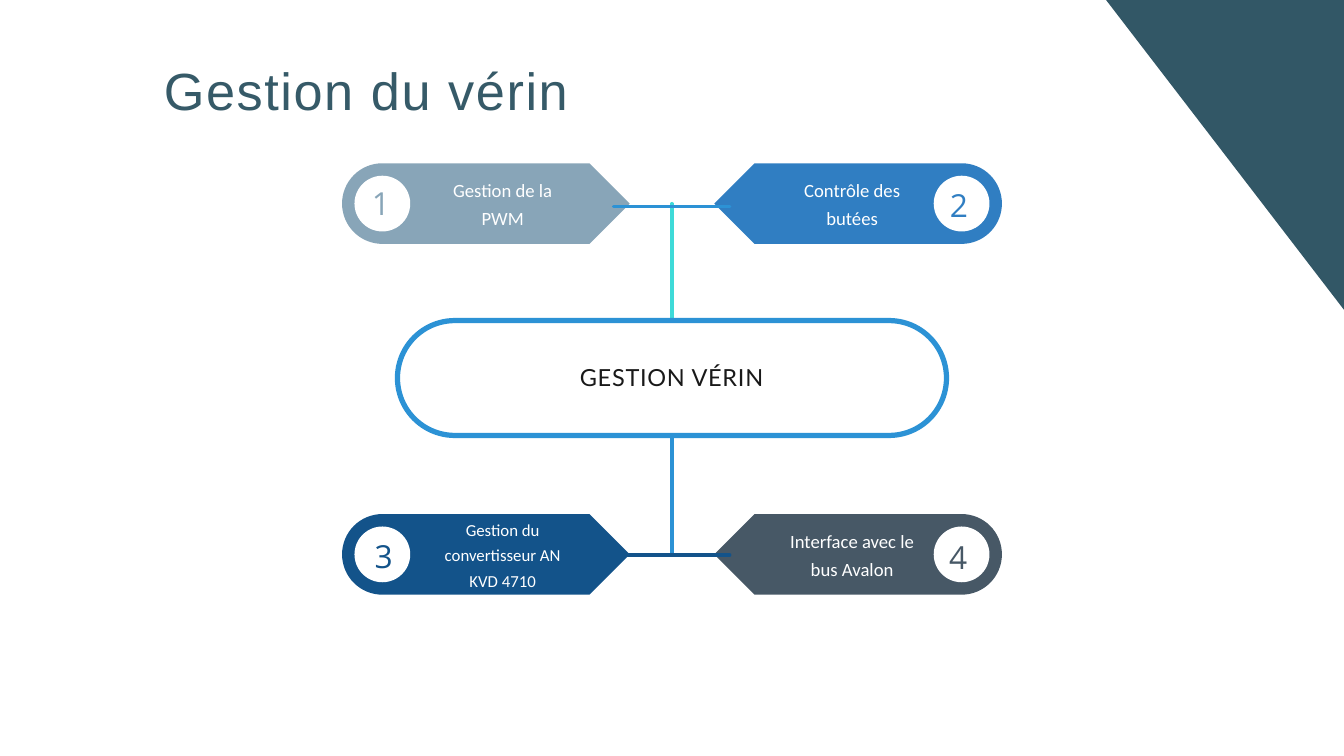
from dataclasses import dataclass
from math import cos, pi, sin

from lxml import etree
from pptx import Presentation, util as u
from pptx.dml.color import RGBColor
from pptx.enum import shapes, text
from pptx.oxml.ns import qn

COLS, ROWS = 20, 11.25
CELL = u.Inches(1)
MID = COLS / 2

WHITE = RGBColor(0xFF, 0xFF, 0xFF)
INK = RGBColor(0x19, 0x19, 0x19)
TEAL = RGBColor(0x32, 0x57, 0x66)
SLATE = RGBColor(0x36, 0x5A, 0x68)
AQUA = RGBColor(0x3E, 0xDA, 0xD8)
SKY = RGBColor(0x2C, 0x92, 0xD5)
MIST = RGBColor(0x88, 0xA5, 0xB8)
BLUE = RGBColor(0x30, 0x7E, 0xC2)
NAVY = RGBColor(0x13, 0x53, 0x8A)
STONE = RGBColor(0x47, 0x58, 0x66)


@dataclass(frozen=True)
class Font:
    name: str
    size: float
    lead: float
    color: RGBColor
    track: float = 0


@dataclass(frozen=True)
class Badge:
    digit: str
    label: str
    right: bool
    row: float
    color: RGBColor
    size: float
    text_row: float
    digit_col: float
    digit_row: float


BADGES = [
    Badge("1", "Gestion de la PWM", False, 3.03, MIST, 20, 2.58, 5.53, 2.64),
    Badge("2", "Contrôle des butées", True, 3.03, BLUE, 20, 2.58, 14.13, 2.67),
    Badge("3", "Gestion du convertisseur AN KVD 4710", False, 8.25, NAVY, 18, 7.66, 5.57, 7.89),
    Badge("4", "Interface avec le bus Avalon", True, 8.25, STONE, 20, 7.8, 14.12, 7.91),
]


def grid(n: float) -> u.Emu:
    return u.Emu(round(n * CELL))


def paint(shape, color: RGBColor) -> None:
    shape.shadow.inherit = False
    shape.fill.solid()
    shape.fill.fore_color.rgb = color
    shape.line.fill.background()


def outline(slide, points: list, color: RGBColor) -> None:
    spots = [(grid(x), grid(y)) for x, y in points]
    pen = slide.shapes.build_freeform(*spots[0])
    pen.add_line_segments(spots[1:], close=True)
    paint(pen.convert_to_shape(), color)


def write(frame, words: str, font: Font) -> None:
    frame.margin_left = frame.margin_right = frame.margin_top = frame.margin_bottom = 0
    frame.word_wrap = True
    frame.auto_size = text.MSO_AUTO_SIZE.NONE
    frame.vertical_anchor = text.MSO_ANCHOR.TOP
    para = frame.paragraphs[0]
    para.alignment = text.PP_ALIGN.CENTER
    para.line_spacing = u.Pt(font.lead)
    run = para.add_run()
    run.text = words
    run.font.name = font.name
    run.font.size = u.Pt(font.size)
    run.font.color.rgb = font.color
    if font.track:
        run.font._element.set("spc", str(round(font.track * 100)))


def add_text(slide, words: str, font: Font, x: float, y: float, w: float, h: float) -> None:
    box = slide.shapes.add_textbox(grid(x), grid(y), grid(w), grid(h))
    write(box.text_frame, words, font)


def add_bar(slide, x1: float, y1: float, x2: float, y2: float, color: RGBColor):
    bar = slide.shapes.add_connector(
        shapes.MSO_CONNECTOR.STRAIGHT, grid(x1), grid(y1), grid(x2), grid(y2))
    bar.line.color.rgb = color
    bar.line.width = u.Pt(3.5)
    bar.line._get_or_add_ln().set("cap", "rnd")
    etree.SubElement(bar._element.spPr, qn("a:effectLst"))
    return bar


def add_title(slide) -> None:
    title = slide.shapes.title
    title.left, title.top = grid(0.84), grid(0.78)
    title.width, title.height = grid(9.22), grid(1)
    write(title.text_frame, "Gestion du vérin", Font("Arial", 56, 73.3, SLATE, 1.7))


def add_core(slide) -> None:
    top, tall, wide = 4.77, 1.71, 8.17
    core = slide.shapes.add_shape(
        shapes.MSO_SHAPE.ROUNDED_RECTANGLE,
        grid(MID - wide / 2), grid(top), grid(wide), grid(tall))
    core.adjustments[0] = 0.5
    paint(core, WHITE)
    core.line.color.rgb = SKY
    core.line.width = u.Pt(5.6)
    for side, start, end, color in ((0, top, 3.03, AQUA), (2, top + tall, 8.24, SKY)):
        bar = add_bar(slide, MID, start, MID, end, color)
        bar.begin_connect(core, side)
        core._element.addprevious(bar._element)
    add_text(slide, "GESTION VÉRIN", Font("Lato", 25.2, 27.8, INK, 0.8), 7.06, 5.44, 5.87, 0.4)


def add_badge(slide, b: Badge) -> None:
    def flip(x: float) -> float:
        return COLS - x if b.right else x

    half, steps = 0.6, 32
    arc = [(5.69 - half * sin(pi * i / steps), b.row - half * cos(pi * i / steps))
           for i in range(steps + 1)]
    edge = [(9.37, b.row), (8.77, b.row - half), *arc, (8.77, b.row + half)]
    outline(slide, [(flip(x), y) for x, y in edge], b.color)

    disc = 0.83
    dot = slide.shapes.add_shape(
        shapes.MSO_SHAPE.OVAL, grid(flip(5.69) - disc / 2), grid(b.row - disc / 2),
        grid(disc), grid(disc))
    paint(dot, WHITE)

    face = Font("Calibri", b.size, b.size * 1.5, WHITE)
    add_text(slide, b.label, face, 11.67 if b.right else 6.47, b.text_row, 2.02, 1.11)
    mark = Font("Open Sans", 34, 47.6, b.color)
    add_text(slide, b.digit, mark, b.digit_col, b.digit_row, 0.28, 0.63)


def main() -> None:
    deck = Presentation()
    deck.slide_width, deck.slide_height = grid(COLS), grid(ROWS)
    slide = deck.slides.add_slide(deck.slide_layouts[5])
    add_title(slide)
    add_core(slide)
    for badge in BADGES:
        add_badge(slide, badge)
    for row, color in ((3.07, SKY), (8.26, NAVY)):
        add_bar(slide, 9.13, row, 10.86, row, color)
    outline(slide, [(16.46, 0), (COLS, 0), (COLS, 4.61)], TEAL)
    deck.save("out.pptx")


if __name__ == "__main__":
    main()
